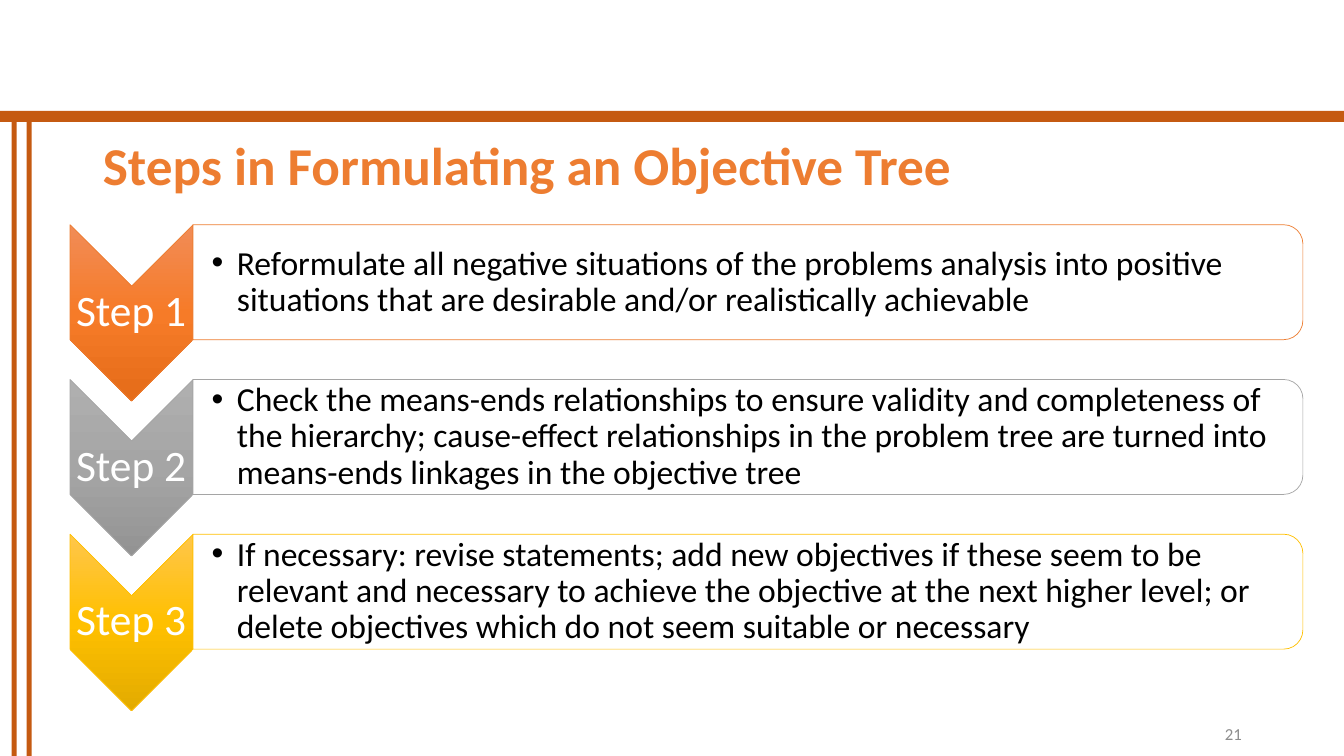
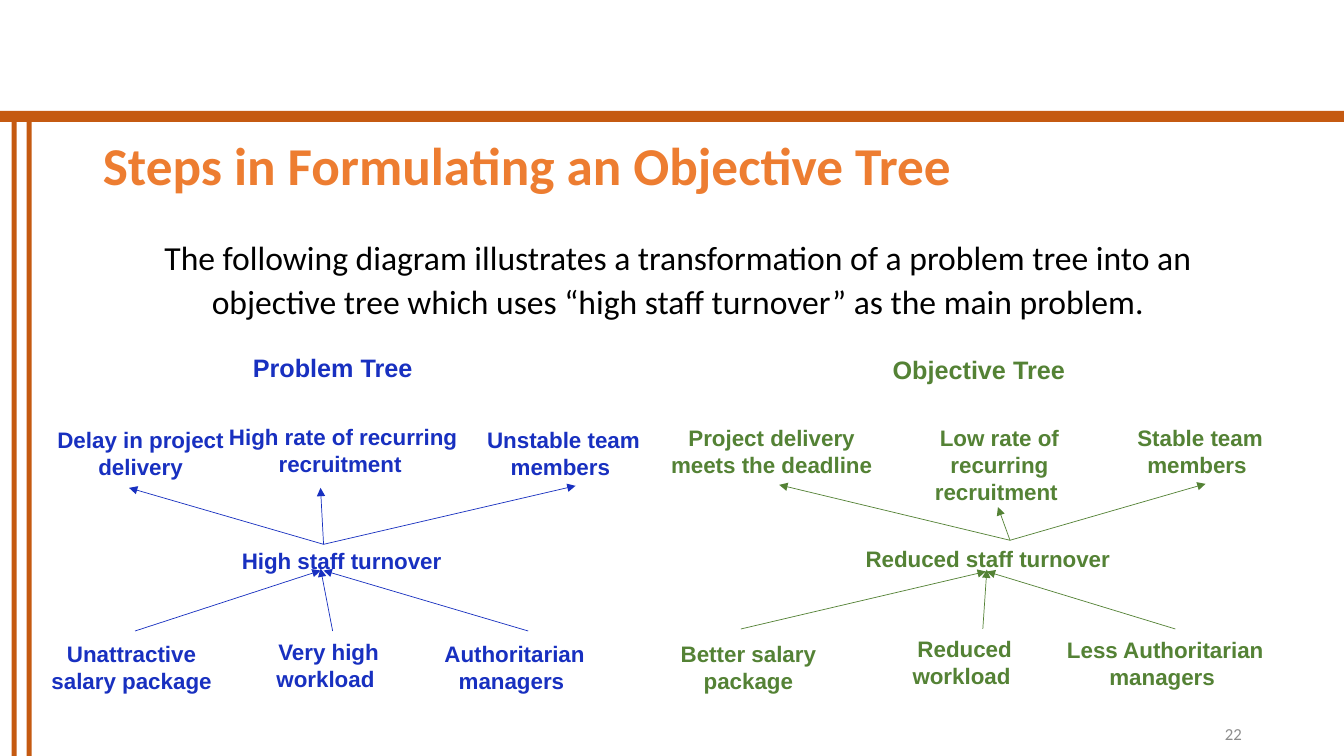
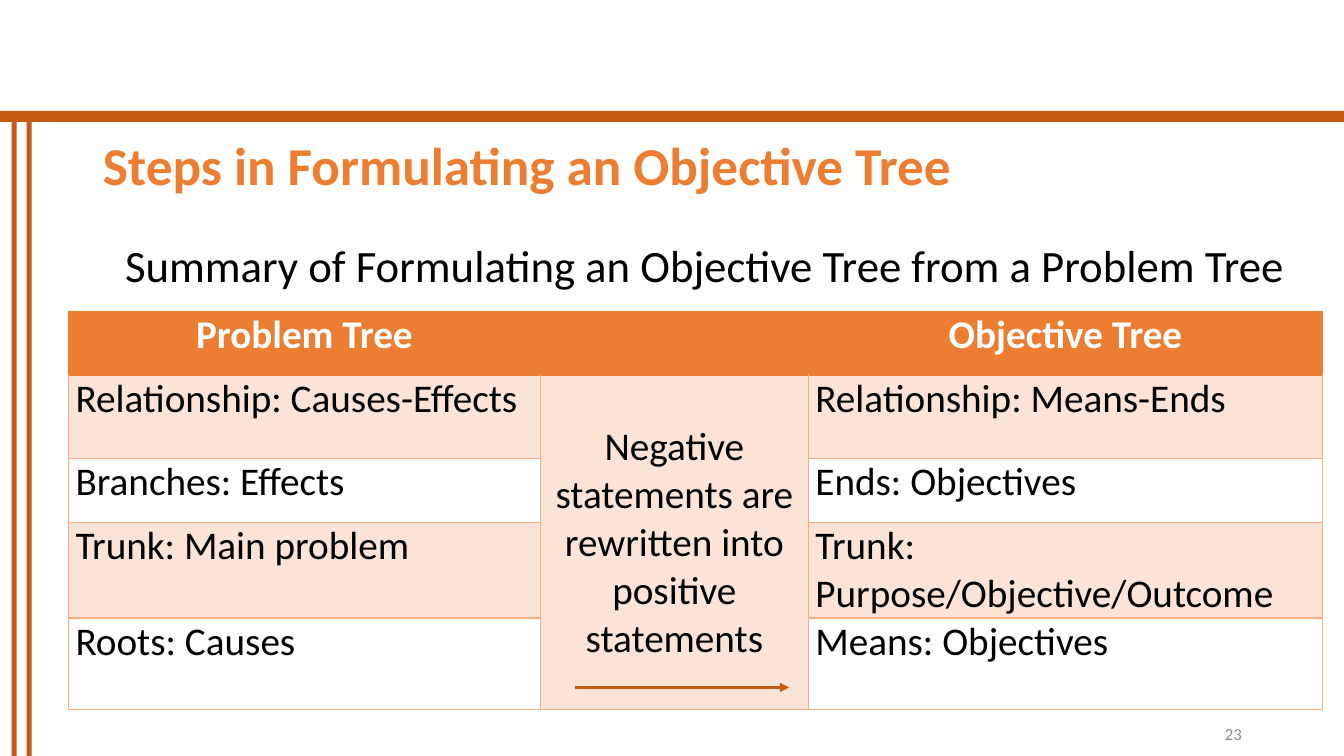
from itertools import product
from lxml.etree import SubElement
from pptx import Presentation
from pptx.dml.color import RGBColor as RGB
from pptx.enum.shapes import MSO_CONNECTOR as LINK, MSO_SHAPE as KIND
from pptx.enum.text import MSO_ANCHOR as ANCHOR, MSO_AUTO_SIZE as FIT, PP_ALIGN as ALIGN
from pptx.oxml import parse_xml
from pptx.oxml.ns import nsdecls, qn
from pptx.util import Inches, Pt

RUST = RGB(0xC5, 0x5A, 0x11)
ORANGE = RGB(0xED, 0x7D, 0x31)
PEACH = RGB(0xF4, 0xB0, 0x83)
BLUSH = RGB(0xFB, 0xE4, 0xD5)
GRAY = RGB(0x8C, 0x8C, 0x8C)
SILVER = RGB(0xA5, 0xA5, 0xA5)
GOLD = RGB(0xFF, 0xC0, 0x00)
BLUE = RGB(0x18, 0x30, 0xC0)
GREEN = RGB(0x54, 0x82, 0x35)
BLACK = RGB(0, 0, 0)
WHITE = RGB(0xFF, 0xFF, 0xFF)
ORANGES = RGB(0xF1, 0x8C, 0x57), RGB(0xF6, 0x7B, 0x28), RGB(0xE5, 0x6C, 0x19)
GRAYS = RGB(0xAF, 0xAF, 0xAF), SILVER, RGB(0x93, 0x93, 0x93)
GOLDS = RGB(0xFF, 0xC6, 0x4B), GOLD, RGB(0xE3, 0xAB, 0x00)

COLS, ROWS = 133.33, 75
TITLE = "Steps in Formulating an Objective Tree"

STEPS = [
    (ORANGE, ORANGES, "Reformulate all negative situations of the problems analysis into "
     "positive situations that are desirable and/or realistically achievable"),
    (SILVER, GRAYS, "Check the means-ends relationships to ensure validity and completeness "
     "of the hierarchy; cause-effect relationships in the problem tree are turned into "
     "means-ends linkages in the objective tree"),
    (GOLD, GOLDS, "If necessary: revise statements; add new objectives if these seem to be "
     "relevant and necessary to achieve the objective at the next higher level; or delete "
     "objectives which do not seem suitable or necessary"),
]

TREES = [
    (BLUE, (21.9, 34.5, 22.2, "Problem Tree"), [
        (19.2, 53.8, 29.4, "High staff turnover"),
        (4.6, 41.8, 18.7, "Delay in project delivery"),
        (21.7, 41.5, 24.7, "High rate of recurring recruitment "),
        (46.5, 41.8, 18.8, "Unstable team members "),
        (3, 63, 20.1, "Unattractive salary package"),
        (24.4, 62.8, 16.4, "Very high workload "),
        (40.4, 63, 21.3, "Authoritarian managers "),
    ], [
        (32.1, 54, 12.8, 48.4), (32.1, 54, 31.8, 48.4), (32.1, 54, 57.1, 48.2),
        (13.4, 62.6, 31.8, 56.6), (33, 62.6, 31.8, 56.4), (52.4, 62.6, 32.1, 56.6),
    ]),
    (GREEN, (86, 34.7, 22.2, "Objective Tree"), [
        (83.6, 53.6, 28.8, "Reduced staff turnover"),
        (65.1, 41.6, 22.9, "Project delivery meets the deadline"),
        (89.5, 41.6, 19.3, "Low rate of recurring recruitment "),
        (110.5, 41.6, 17.1, "Stable team members "),
        (64.1, 63, 20.3, "Better salary package"),
        (87.3, 62.5, 16.8, "Reduced workload "),
        (104.2, 62.6, 22.8, "Less Authoritarian managers "),
    ], [
        (100.2, 53.6, 77.3, 48.1), (100.2, 53.6, 99, 50.3), (100.2, 53.6, 119.6, 48),
        (73.5, 62.4, 97.8, 56.7), (97.5, 62.4, 97.9, 56.5), (116.6, 62.4, 97.9, 56.7),
    ]),
]

WIDTHS = 46.8, 26.6, 51
HEIGHTS = 6.3, 8.3, 6.3, 8.3, 9.1
CELLS = [
    ("Problem Tree", "", "Objective Tree"),
    ("Relationship: Causes-Effects",
     "Negative statements are rewritten into positive statements",
     "Relationship: Means-Ends"),
    ("Branches: Effects", "", "Ends: Objectives"),
    ("Trunk: Main problem", "", "Trunk: Purpose/Objective/Outcome "),
    ("Roots: Causes", "", "Means: Objectives"),
]


def grid(*units):
    """Turn grid columns and rows into lengths."""
    return [Inches(unit / 10) for unit in units]


class Deck:
    """Hold the style and the current slide."""

    def __init__(self):
        """Open an empty deck on the grid."""
        self.prs = Presentation()
        self.prs.slide_width, self.prs.slide_height = grid(COLS, ROWS)

    def start(self, layout, page):
        """Begin a slide with its title and number."""
        self.slide = self.prs.slides.add_slide(self.prs.slide_layouts[layout])
        self.shapes = self.slide.shapes
        if len(self.prs.slides) == 1:
            self.bands()
        self.settle(self.shapes.title, (9.2, 12.3, 115, 8.8), TITLE, 38, ORANGE,
                    bold=True, align=ALIGN.LEFT, space=0.9, anchor=ANCHOR.MIDDLE)
        self.label((94.2, 70.8, 30, 4), str(page), 12, GRAY,
                   align=ALIGN.RIGHT, anchor=ANCHOR.MIDDLE)

    def bands(self):
        """Put the shared bands on the master."""
        tree = self.prs.slide_master.shapes.element
        for box in (0, 11, COLS, 1.1), (1.15, 12, 0.5, 63), (2.65, 12, 0.5, 63):
            tree.append(self.shape(KIND.RECTANGLE, box, RUST).element)

    def say(self, frame, text, size, color, font="Calibri", bold=False,
            align=ALIGN.CENTER, space=None, anchor=ANCHOR.TOP):
        """Add one styled run to a text frame."""
        frame.word_wrap = True
        frame.auto_size = FIT.NONE
        frame.vertical_anchor = anchor
        para = frame.paragraphs[0]
        para.alignment = align
        para.line_spacing = space
        self.run(para, text, size, color, font, bold)

    def run(self, para, text, size, color, font="Calibri", bold=False):
        """Add a run to a paragraph."""
        run = para.add_run()
        run.text = text
        run.font.size, run.font.name, run.font.bold = Pt(size), font, bold
        run.font.color.rgb = color

    def label(self, box, *text, pads=(1, 0.5, 1, 0.5), **style):
        """Add a text box."""
        item = self.shapes.add_textbox(*grid(*box))
        frame = item.text_frame
        (frame.margin_left, frame.margin_top,
         frame.margin_right, frame.margin_bottom) = grid(*pads)
        self.say(frame, *text, **style)
        return item

    def settle(self, holder, box, *text, **style):
        """Move a placeholder and fill it."""
        holder.left, holder.top, holder.width, holder.height = grid(*box)
        self.say(holder.text_frame, *text, **style)

    def indent(self, item, left, first, mark=None):
        """Set the indent and bullet of a text."""
        props = item.element.find(".//" + qn("a:p")).get_or_add_pPr()
        for key, value in zip(("marL", "indent"), grid(left, first)):
            props.set(key, str(value))
        if mark:
            SubElement(props, qn("a:buFont")).set("typeface", "Arial")
            SubElement(props, qn("a:buChar")).set("char", mark)
        else:
            SubElement(props, qn("a:buNone"))

    def lead(self, box, text, size, left):
        """Fill the body placeholder with a lead line."""
        body = self.slide.placeholders[1]
        self.settle(body, box, text, size, BLACK, space=1.1)
        para = body.text_frame.paragraphs[0]
        para.space_before, para.space_after = Pt(10), Pt(6)
        self.indent(body, left, 0)

    def shape(self, kind, box, fill=None, line=None, turn=False):
        """Add a shape, given by the box it shows in."""
        x, y, w, h = box
        if turn:
            x, y, w, h = x + (w - h) / 2, y + (h - w) / 2, h, w
        item = self.shapes.add_shape(kind, *grid(x, y, w, h))
        item.rotation = 90 if turn else 0
        item.shadow.inherit = False
        if fill:
            item.fill.solid()
            item.fill.fore_color.rgb = fill
        if line:
            item.line.color.rgb, item.line.width = line, Pt(0.5)
        else:
            item.line.fill.background()
        return item

    def blend(self, item, tones):
        """Fill a shape from top to bottom with three tones."""
        stops = "".join(f'<a:gs pos="{pos}"><a:srgbClr val="{tone}"/></a:gs>'
                        for pos, tone in zip((0, 50000, 100000), tones))
        item.element.spPr.insert(2, parse_xml(
            f'<a:gradFill {nsdecls("a")} rotWithShape="0"><a:gsLst>{stops}</a:gsLst>'
            '<a:lin ang="5400000" scaled="0"/></a:gradFill>'))

    def step(self, num, top, color, tones, text):
        """Add a chevron with its panel."""
        arrow = self.shape(KIND.CHEVRON, (6.95, top, 12.2, 17.5), line=color, turn=True)
        self.blend(arrow, tones)
        self.shape(KIND.ROUND_2_SAME_RECTANGLE, (19.15, top, 110.1, 11.4),
                   WHITE, color, turn=True)
        style = dict(space=0.9, anchor=ANCHOR.MIDDLE)
        self.label((6.9, top + 6.1, 12.2, 5.2), f"Step {num}", 31, WHITE,
                   pads=[0.2] * 4, **style)
        item = self.label((19.1, top + 0.6, 109.5, 10.2), text, 24, BLACK,
                          pads=(1.9, 0.2, 0.2, 0.2), align=ALIGN.LEFT, **style)
        self.indent(item, 2.5, -2.5, "•")

    def arrow(self, ends, color, width):
        """Add a line with a head at its end."""
        item = self.shapes.add_connector(LINK.STRAIGHT, *grid(*ends))
        item.line.color.rgb, item.line.width = color, Pt(width)
        props = item.element.spPr
        SubElement(props.find(qn("a:ln")), qn("a:tailEnd")).set("type", "triangle")
        SubElement(props, qn("a:effectLst"))

    def tree(self, color, head, nodes, links):
        """Add a tree of labels and arrows."""
        for size, (x, y, w, text) in [(18, head)] + [(16, node) for node in nodes]:
            self.label((x, y, w, 6.3), text, size, color, font="Arial", bold=True)
        for ends in links:
            self.arrow(ends, color, 0.5)

    def edge(self, props, row):
        """Draw the four borders of a cell."""
        for side in "LRTB":
            tone = ORANGE if row == 0 or (row == 1 and side == "T") else PEACH
            props.append(parse_xml(
                f'<a:ln{side} {nsdecls("a")} w="12700"><a:solidFill>'
                f'<a:srgbClr val="{tone}"/></a:solidFill></a:ln{side}>'))

    def table(self, x, y):
        """Add the summary table."""
        frame = self.shapes.add_table(len(HEIGHTS), len(WIDTHS),
                                      *grid(x, y, sum(WIDTHS), sum(HEIGHTS)))
        table = frame.table
        for col, width in zip(table.columns, grid(*WIDTHS)):
            col.width = width
        for line, height in zip(table.rows, grid(*HEIGHTS)):
            line.height = height
        table.cell(1, 1).merge(table.cell(4, 1))
        spots = product(range(len(HEIGHTS)), range(len(WIDTHS)))
        for (row, col), tc in zip(spots, frame.element.iter(qn("a:tc"))):
            cell, text = table.cell(row, col), CELLS[row][col]
            self.edge(tc.get_or_add_tcPr(), row)
            cell.fill.solid()
            cell.fill.fore_color.rgb = ORANGE if row == 0 else BLUSH if row % 2 else WHITE
            mid = row == 1 and col == 1
            (cell.margin_left, cell.margin_top, cell.margin_right,
             cell.margin_bottom) = grid(0.7, 4.8 if mid else 0, 0.7, 0)
            if text:
                para = cell.text_frame.paragraphs[0]
                para.alignment = ALIGN.CENTER if row == 0 or mid else ALIGN.LEFT
                para.space_before = para.space_after = Pt(3)
                self.run(para, text, 28, BLACK if row else WHITE, bold=row == 0)


def main():
    """Build and save the slides."""
    deck = Deck()

    deck.start(5, 21)
    for num, step in enumerate(STEPS):
        deck.step(num + 1, 22.3 + 15.35 * num, *step)

    deck.start(1, 22)
    deck.lead((9.2, 22.6, 115, 10.8),
              "The following diagram illustrates a transformation of a problem tree into an "
              "objective tree which uses “high staff turnover” as the main problem.", 24, 1.1)
    for tree in TREES:
        deck.tree(*tree)

    deck.start(1, 23)
    deck.lead((6.8, 22.6, 122.8, 6.9),
              "Summary of Formulating an Objective Tree from a Problem Tree", 32, 3.5)
    deck.table(6.8, 30.9)
    deck.arrow((57, 68.2, 78.3, 68.2), RUST, 2.25)

    deck.prs.save("out.pptx")


if __name__ == "__main__":
    main()
